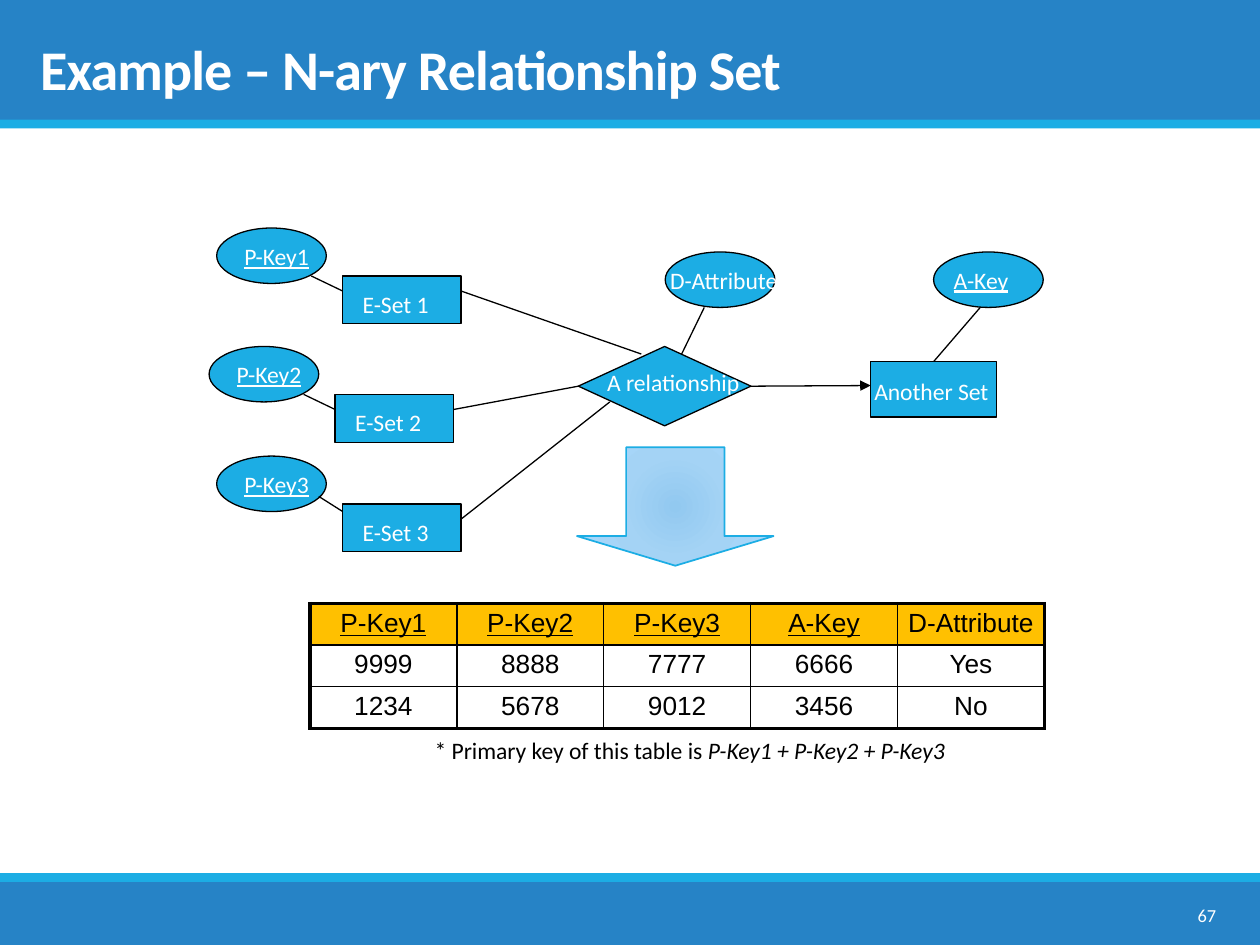
from pptx import Presentation
from pptx.dml.color import RGBColor
from pptx.enum.shapes import MSO_CONNECTOR, MSO_SHAPE
from pptx.enum.text import MSO_ANCHOR, PP_ALIGN
from pptx.oxml import parse_xml
from pptx.oxml.ns import nsdecls
from pptx.util import Inches, Pt

RECT, OVAL = MSO_SHAPE.RECTANGLE, MSO_SHAPE.OVAL
RHOMB, DOWN = MSO_SHAPE.FLOWCHART_DECISION, MSO_SHAPE.DOWN_ARROW
LEFT, MID, RIGHT = PP_ALIGN.LEFT, PP_ALIGN.CENTER, PP_ALIGN.RIGHT
TOP, CENTER, BOTTOM = MSO_ANCHOR.TOP, MSO_ANCHOR.MIDDLE, MSO_ANCHOR.BOTTOM
STRAIGHT = MSO_CONNECTOR.STRAIGHT

THEME = {
    "bar": "2683C6", "node": "1CADE4", "head": "FFC000",
    "ink": "000000", "light": "FFFFFF",
    "glow": [(0, "92C9F0"), (45, "A4D3F5"), (100, "A9D9FD")],
    "font": "Calibri", "grid font": "Arial",
    "title": 32, "label": 13.5, "cell": 15, "page": 10.5,
    "thin": 0.75, "rule": 1, "frame": 2.25,
}

# Content
TITLE = "Example – N-ary Relationship Set"
PAGE = "67"
NOTE = [("* Primary key of this table is ", ""),
        ("P-Key1 + P-Key2 + P-Key3 ", "i")]
ROWS = [
    ["P-Key1", "P-Key2", "P-Key3", "A-Key", "D-Attribute"],
    ["9999", "8888", "7777", "6666", "Yes"],
    ["1234", "5678", "9012", "3456", "No"],
]
KEYS = ROWS[0][:4]
# key, set, origin of the pair, start of its key line
SETS = [
    ("P-Key1", "E-Set 1", (1.72, 1.81), (0.75, 0.38)),
    ("P-Key2", "E-Set 2", (1.66, 2.75), (0.75, 0.38)),
    ("P-Key3", "E-Set 3", (1.72, 3.62), (0.81, 0.32)),
]
ENDS = [(5.09, 2.81), (4.59, 3.06), (4.84, 3.19)]
OVAL_SIZE, SET_SIZE = (0.87, 0.44), (0.94, 0.38)
# kind, place, label, label's left, top and width
NODES = [
    (RHOMB, (4.59, 2.75, 1.37, 0.63), "A relationship", (4.72, 2.87, 1.31)),
    (RECT, (6.91, 2.87, 1, 0.44), "Another Set", (6.84, 2.94, 1.19)),
    (OVAL, (5.28, 2, *OVAL_SIZE), "D-Attribute", (5.22, 2.06, 1.06)),
    (OVAL, (7.41, 2, *OVAL_SIZE), "A-Key", (7.47, 2.06, 0.81)),
]

deck = Presentation()
deck.slide_width, deck.slide_height = Inches(10), Inches(7.5)
slide = deck.slides.add_slide(deck.slide_layouts[6])
shapes = slide.shapes


def color(name):
    return RGBColor.from_string(THEME[name])


def add_runs(para, runs, size, ink, font="font"):
    for text, style in runs:
        run = para.add_run()
        run.text = text
        face = run.font
        face.name, face.size = THEME[font], Pt(THEME[size])
        face.color.rgb = color(ink)
        face.bold, face.italic = "b" in style, "i" in style
        face.underline = "u" in style


def add_text(box, runs, size="label", ink="light", align=LEFT, anchor=TOP):
    frame = shapes.add_textbox(*map(Inches, box)).text_frame
    frame.word_wrap, frame.vertical_anchor = True, anchor
    para = frame.paragraphs[0]
    para.alignment = align
    add_runs(para, runs, size, ink)
    return para


def add_form(kind, box, fill, line=None, width="thin"):
    form = shapes.add_shape(kind, *map(Inches, box))
    form.shadow.inherit = False
    form.fill.solid()
    form.fill.fore_color.rgb = color(fill)
    if line:
        form.line.color.rgb, form.line.width = color(line), Pt(THEME[width])
    else:
        form.line.fill.background()
    return form


def add_node(kind, box, text, spot):
    form = add_form(kind, box, "node", "ink")
    add_text((*spot, 0.33), [(text, "u" if text in KEYS else "")])
    return form


def add_line(start, end):
    line = shapes.add_connector(STRAIGHT, *map(Inches, (*start, *end)))
    line.line.color.rgb, line.line.width = color("ink"), Pt(THEME["thin"])
    line._element.spPr.append(parse_xml(f"<a:effectLst {nsdecls('a')}/>"))
    return line


def add_edges(cell, row, col):
    outer = [("L", col == 0), ("R", col == len(ROWS[0]) - 1),
             ("T", row == 0), ("B", row == len(ROWS) - 1)]
    props = cell._tc.get_or_add_tcPr()
    for spot, (side, edge) in enumerate(outer):
        width = Pt(THEME["frame" if edge else "rule"])
        props.insert(spot, parse_xml(
            f'<a:ln{side} {nsdecls("a")} w="{width}"><a:solidFill>'
            f'<a:srgbClr val="{THEME["ink"]}"/></a:solidFill></a:ln{side}>'))


# Bars, title and page number
for top, high, fill in [(0, 0.96, "bar"), (7, 0.5, "bar"),
                        (6.93, 0.07, "node"), (0.95, 0.07, "node")]:
    add_form(RECT, (0, top, 10, high), fill)
head = add_text((0.22, 0.1, 9.52, 0.76), [(TITLE, "b")], "title", anchor=BOTTOM)
head.line_spacing = 0.85
head.runs[0].font._element.set("spc", "-50")
add_text((8.67, 7.06, 1.08, 0.4), [(PAGE, "")], "page",
         align=RIGHT, anchor=CENTER)

# Table and its note
table = shapes.add_table(len(ROWS), len(ROWS[0]), *map(
    Inches, (2.46, 4.79, 5.83, 0.98))).table
table.first_row = table.horz_banding = False
for r, row in enumerate(ROWS):
    for c, text in enumerate(row):
        cell = table.cell(r, c)
        cell.margin_left = cell.margin_right = Inches(0.07)
        cell.margin_top = cell.margin_bottom = Inches(0.04)
        if r == 0:
            cell.fill.solid()
            cell.fill.fore_color.rgb = color("head")
        else:
            cell.fill.background()
        add_edges(cell, r, c)
        para = cell.text_frame.paragraphs[0]
        para.alignment = MID
        style = "u" if text in KEYS else ""
        add_runs(para, [(text, style)], "cell", "ink", "grid font")
add_text((2.09, 5.79, 6.81, 0.33), NOTE, ink="ink", align=MID)

# Block arrow with a round gradient
arrow = add_form(DOWN, (4.58, 3.55, 1.56, 0.94), "node", "node", "rule")
arrow.adjustments[0], arrow.adjustments[1] = 0.5, 0.25
stops = "".join(f'<a:gs pos="{pos * 1000}"><a:srgbClr val="{tint}"/></a:gs>'
                for pos, tint in THEME["glow"])
props = arrow._element.spPr
props.replace(props.find("{*}solidFill"), parse_xml(
    f'<a:gradFill {nsdecls("a")}><a:gsLst>{stops}</a:gsLst>'
    '<a:path path="circle"><a:fillToRect l="100000" t="100000" '
    'r="100000" b="100000"/></a:path></a:gradFill>'))

# Relationship, its attribute and the other set
rhomb, other, _, _ = [add_node(*node) for node in NODES]
link = add_line((5.96, 3.06), (6.91, 3.06))
link.begin_connect(rhomb, 3)
link.line._get_or_add_ln().append(
    parse_xml(f'<a:tailEnd {nsdecls("a")} type="triangle"/>'))
add_line((5.41, 2.81), (5.59, 2.44))
add_line((7.78, 2.44), (7.41, 2.87)).end_connect(other, 0)

# Entity sets with their keys
for (key, name, (x, y), (dx, dy)), end in zip(SETS, ENDS):
    add_node(RECT, (x + 1, y + 0.38, *SET_SIZE), name, (x + 1.06, y + 0.44, 0.81))
    add_node(OVAL, (x, y, *OVAL_SIZE), key, (x + 0.12, y + 0.06, 0.81))
    add_line((x + dx, y + dy), (x + 1, y + dy + 0.12))
    line = add_line((x + 1.94, y + 0.5), end)
    if end == (4.59, 3.06):
        line.end_connect(rhomb, 1)

deck.save("out.pptx")
